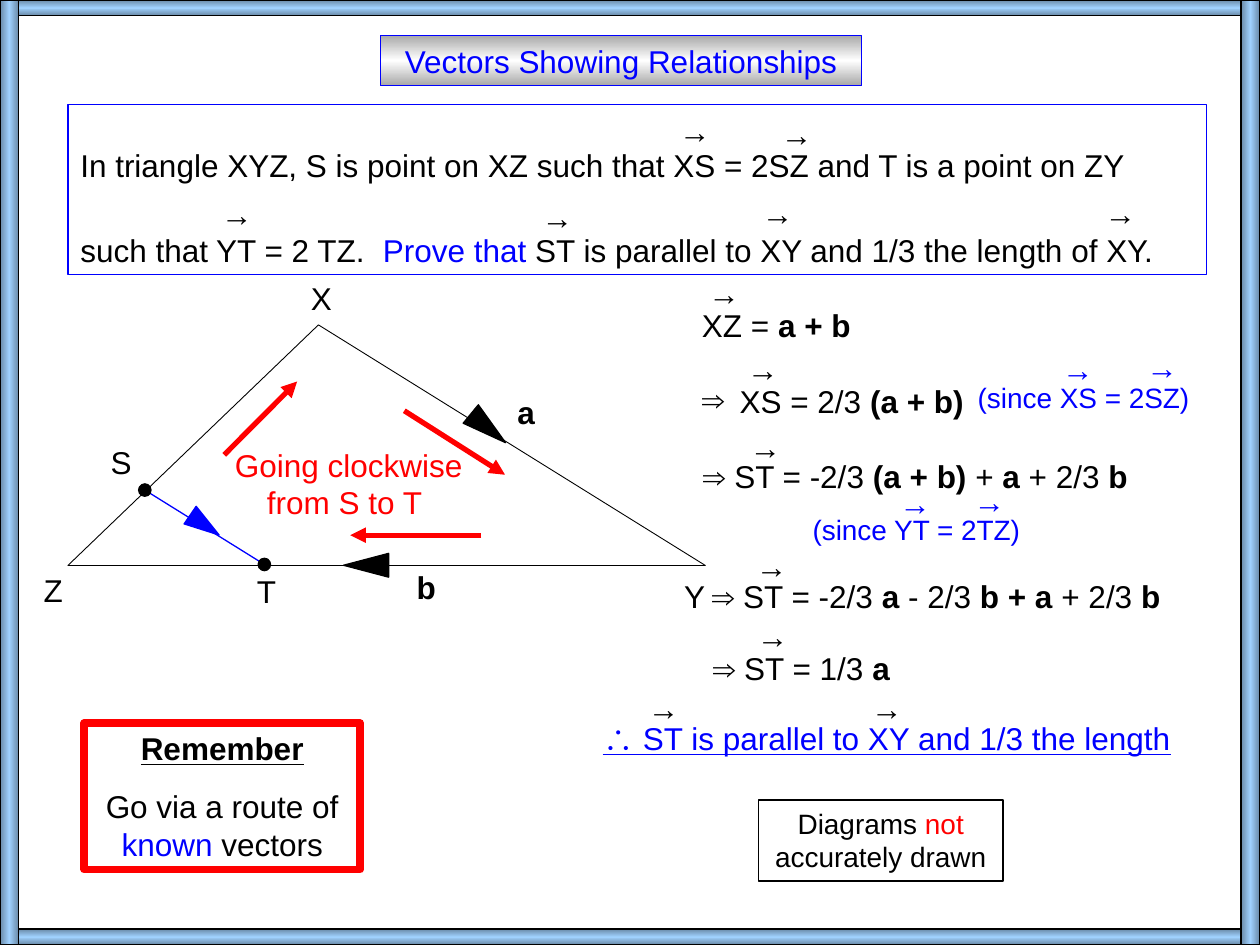
from copy import deepcopy

from lxml.etree import SubElement
from pptx import Presentation
from pptx.dml.color import RGBColor
from pptx.enum.shapes import MSO_CONNECTOR, MSO_SHAPE
from pptx.enum.text import MSO_ANCHOR, MSO_AUTO_SIZE, PP_ALIGN
from pptx.oxml.ns import qn
from pptx.util import Cm, Pt

BLACK = RGBColor(0x00, 0x00, 0x00)
WHITE = RGBColor(0xFF, 0xFF, 0xFF)
BLUE = RGBColor(0x00, 0x00, 0xFF)
RED = RGBColor(0xFF, 0x00, 0x00)
GREY = RGBColor(0xA8, 0xA8, 0xA8)
STEEL = RGBColor(0x69, 0x89, 0xA7)
SKY = RGBColor(0xA0, 0xD1, 0xFE)

LINE_BOX = 1.02  # height of a box with one 18 pt line


def lengths(*values):
    return [Cm(value) for value in values]


def bold(text):
    return text, {"bold": True}


def tinted(text, color):
    return text, {"color": color}


def write(shape, *paras, size=18, color=BLACK, align=PP_ALIGN.LEFT, gap=0,
          anchor=MSO_ANCHOR.TOP, bullet=None, hang=0, tab=None, underline=None):
    """Fill a shape with paragraphs; each is a list of strings or (string, format) spans."""
    frame = shape.text_frame
    frame.word_wrap = True
    frame.auto_size = MSO_AUTO_SIZE.NONE
    frame.vertical_anchor = anchor
    for index, spans in enumerate(paras):
        para = frame.add_paragraph() if index else frame.paragraphs[0]
        props = para._p.get_or_add_pPr()
        if bullet:
            props.set("marL", str(Cm(hang)))
            props.set("indent", str(-Cm(hang)))
            SubElement(props, qn("a:buFont"), typeface="Arial")
            SubElement(props, qn("a:buChar"), char=bullet)
        if tab:
            stops = SubElement(props, qn("a:tabLst"))
            SubElement(stops, qn("a:tab"), pos=str(Cm(tab)), algn="l")
        para.alignment = align
        para.space_before = Pt(gap if index else 0)
        for item in spans:
            text, look = (item, {}) if isinstance(item, str) else item
            span = para.add_run()
            span.text = text
            font = span.font
            font.name, font.size = "Arial", Pt(size)
            font.bold = look.get("bold", False)
            font.underline = look.get("underline", underline)
            font.color.rgb = look.get("color", color)


def add_text(page, left, top, width, height, *paras, **look):
    box = page.shapes.add_textbox(*lengths(left, top, width, height))
    write(box, *paras, **look)


def outline(shape, color, weight=0.75):
    shape.line.color.rgb = color
    shape.line.width = Pt(weight)


def add_figure(page, kind, box, fill=None, line=BLACK, weight=0.75, turn=0):
    shape = page.shapes.add_shape(kind, *lengths(*box))
    shape.shadow.inherit = False
    shape.rotation = turn
    if fill is None:
        shape.fill.background()
    else:
        shape.fill.solid()
        shape.fill.fore_color.rgb = fill
    outline(shape, line, weight)
    return shape


def shade(shape, edge, middle, angle):
    """Gradient that runs from the edge colour to the middle colour and back."""
    shape.fill.gradient()
    shape.fill.gradient_angle = angle
    first, last = shape.fill.gradient_stops
    first.color.rgb, last.color.rgb = edge, edge
    first.position, last.position = 0, 1
    stop_list = shape._element.spPr.find(qn("a:gradFill")).find(qn("a:gsLst"))
    stop_list.insert(1, deepcopy(stop_list[0]))
    centre = shape.fill.gradient_stops[1]
    centre.color.rgb, centre.position = middle, 0.5


def add_line(page, start, end, color, weight=0.75, arrow=False):
    line = page.shapes.add_connector(MSO_CONNECTOR.STRAIGHT, *lengths(*start, *end))
    outline(line, color, weight)
    if arrow:
        SubElement(line.line._get_or_add_ln(), qn("a:tailEnd"), type="triangle")
    SubElement(line._element.spPr, qn("a:effectLst"))


def add_vector_signs(page, left, top, offsets, color=BLACK):
    """Arrows that stand above two-letter vector names."""
    for across, down in offsets:
        add_text(page, left + across, top + down, 1.7, LINE_BOX, ["→"], color=color)


def draw_frame(page, width, height):
    side, bar = 0.38, 0.32
    for box, angle in [((0, 0, width, bar), 90), ((0, height - bar, width, bar), 90),
                       ((0, 0, side, height), 0), ((width - side, 0, side, height), 0)]:
        shade(add_figure(page, MSO_SHAPE.RECTANGLE, box), STEEL, SKY, angle)


def draw_title(page, left, top, width, height):
    title = page.shapes.title
    title.left, title.top, title.width, title.height = lengths(left, top, width, height)
    shade(title, GREY, WHITE, 90)
    outline(title, BLUE)
    write(title, ["Vectors Showing Relationships"], color=BLUE, align=PP_ALIGN.CENTER)


def draw_problem(page, left, top, width, height):
    panel = add_figure(page, MSO_SHAPE.RECTANGLE, (left, top, width, height), line=BLUE)
    write(panel,
          ["In triangle XYZ, S is point on XZ such that XS = 2SZ and T is a point on ZY"],
          ["such that YT = 2 TZ.\t", tinted("Prove that", BLUE),
           " ST is parallel to XY and 1/3 the length of XY."],
          gap=26.8, anchor=MSO_ANCHOR.BOTTOM, tab=6.1)
    add_vector_signs(page, left, top, [(12.07, 0.03), (14.12, 0.08), (2.84, 1.7),
                                       (9.3, 1.75), (13.74, 1.68), (20.65, 1.68)])


def draw_triangle(page, left, top, width, height):
    def at(across, down):
        return left + across, top + down

    corners = [at(width, height), at(0, height), at(5.05, 0)]
    builder = page.shapes.build_freeform(*lengths(*corners[0]), scale=1.0)
    builder.add_line_segments([lengths(*corner) for corner in corners[1:]], close=True)
    triangle = builder.convert_to_shape()
    triangle.shadow.inherit = False
    triangle.fill.background()
    outline(triangle, BLACK, 0.5)

    point_s, point_t = at(1.55, 3.33), at(3.96, 4.83)
    add_line(page, point_s, point_t, BLUE)
    for across, down, breadth, length, turn, color in [
            (2.54, 3.68, 0.43, 0.71, 124.5, BLUE),
            (5.77, 4.39, 0.48, 0.91, 270, BLACK),
            (8.23, 1.63, 0.48, 0.91, 129.5, BLACK)]:
        add_figure(page, MSO_SHAPE.ISOSCELES_TRIANGLE,
                   (*at(across, down), breadth, length), color, color, turn=turn)
    dot = 0.25
    for x, y in (point_s, point_t):
        add_figure(page, MSO_SHAPE.OVAL, (x - dot / 2, y - dot / 2, dot, dot), BLACK)

    for name, across, down in [("X", 4.65, -1.04), ("Y", 12.17, 4.95), ("Z", -0.74, 4.83),
                               ("S", 0.61, 2.26), ("T", 3.56, 4.85),
                               (bold("a"), 8.81, 1.24), (bold("b"), 6.78, 4.78)]:
        add_text(page, *at(across, down), LINE_BOX, LINE_BOX, [name])

    add_text(page, *at(2.84, 2.31), 5.64, 1.78, ["Going clockwise from S to T "],
             color=RED, align=PP_ALIGN.CENTER)
    for start, end in [((3.15, 2.62), (4.62, 1.14)), ((6.78, 1.73), (8.81, 3.02)),
                       ((8.33, 4.24), (5.69, 4.24))]:
        add_line(page, at(*start), at(*end), RED, 3, arrow=True)


def draw_proof(page, left, top):
    note = {"size": 16, "color": BLUE}
    steps = [
        (2, 0, 8.36, ["XZ = ", bold("a + b")], [(0.13, -0.66)], {}),
        (2, 1.52, 6.93, ["XS = 2/3 ", bold("(a + b)")], [(0.91, -0.64)],
         {"bullet": "⇒", "hang": 0.76}),
        (7.56, 1.49, 5.94, ["(since XS = 2SZ)"], [(1.7, -0.61), (3.4, -0.64)], note),
        (2.02, 3.04, 9.86, ["⇒ ST = -2/3 ", bold("(a + b) "), "+", bold(" a "), "+ 2/3",
                            bold(" b")], [(0.94, -0.58)], {}),
        (4.23, 4.16, 5.94, ["(since YT = 2TZ)"], [(1.75, -0.58), (3.25, -0.61)], note),
        (2.2, 5.46, 9.83, ["⇒ ST = -2/3 ", bold("a "), "- 2/3", bold(" b + a "), "+ 2/3",
                           bold(" b")], [(0.89, -0.61)], {}),
        (2.22, 6.9, 9.83, ["⇒ ST = 1/3 ", bold("a")], [(0.89, -0.64)], {}),
        (0, 8.33, 12.07, ["∴ ST is parallel to XY and 1/3 the length"],
         [(0.91, -0.61), (5.41, -0.61)], {"color": BLUE, "underline": True}),
    ]
    for across, down, width, spans, signs, look in steps:
        x, y = left + across, top + down
        add_text(page, x, y, width, LINE_BOX, spans, **look)
        add_vector_signs(page, x, y, signs, BLUE if look is note else BLACK)


def draw_reminder(page, *box):
    panel = add_figure(page, MSO_SHAPE.RECTANGLE, box, WHITE, RED, 4.5)
    write(panel, [("Remember", {"bold": True, "underline": True})],
          ["Go via a route of ", tinted("known", BLUE), " vectors"],
          align=PP_ALIGN.CENTER, gap=11.2)


def draw_caution(page, *box):
    panel = add_figure(page, MSO_SHAPE.RECTANGLE, box)
    write(panel, ["Diagrams ", tinted("not ", RED), "accurately drawn"],
          size=16, align=PP_ALIGN.CENTER)


def main():
    deck = Presentation()
    deck.slide_width, deck.slide_height = lengths(25.4, 19.05)
    page = deck.slides.add_slide(deck.slide_layouts[5])
    draw_frame(page, 25.4, 19.05)
    draw_title(page, 7.67, 0.71, 9.7, LINE_BOX)
    draw_problem(page, 1.37, 2.11, 22.96, 3.43)
    draw_triangle(page, 1.37, 6.55, 12.85, 4.85)
    draw_proof(page, 11.9, 6.05)
    draw_reminder(page, 1.7, 14.58, 5.56, 2.95)
    draw_caution(page, 15.29, 16.13, 4.93, 1.63)
    deck.save("out.pptx")


if __name__ == "__main__":
    main()
